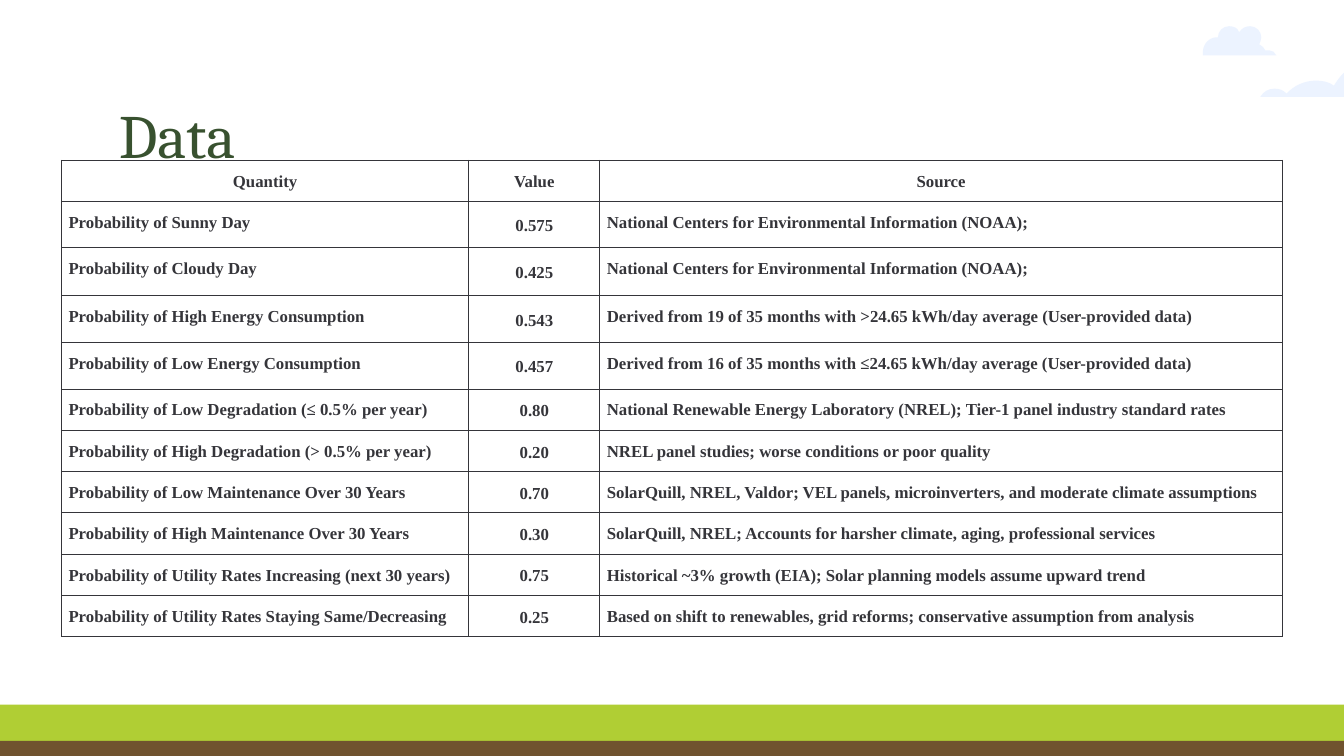
from dataclasses import dataclass

from lxml.etree import SubElement
from pptx import Presentation
from pptx.dml.color import RGBColor
from pptx.enum.shapes import MSO_SHAPE
from pptx.enum.text import MSO_ANCHOR, PP_ALIGN
from pptx.oxml.ns import qn
from pptx.util import Inches, Pt


@dataclass(frozen=True)
class Theme:
    grass: str = "B0CE34"
    soil: str = "70532F"
    cloud: str = "D9E8FF"
    title: str = "38512F"
    ink: str = "35353A"
    title_font: str = "Cambria"
    table_font: str = "Times New Roman"
    title_size: int = 44
    table_size: int = 12
    border_width: float = 0.75
    cloud_opacity: int = 49


THEME = Theme()
SLIDE_WIDTH, SLIDE_HEIGHT = 13.33, 7.5

TITLE = "Data"
TITLE_BOX = (1.05, 0.65, 11.23, 0.83)
HEADER = ("Quantity", "Value", "Source")
ROWS = [
    ("Probability of Sunny Day", "0.575",
     "National Centers for Environmental Information (NOAA);"),
    ("Probability of Cloudy Day", "0.425",
     "National Centers for Environmental Information (NOAA);"),
    ("Probability of High Energy Consumption", "0.543",
     "Derived from 19 of 35 months with >24.65 kWh/day average (User-provided data)"),
    ("Probability of Low Energy Consumption", "0.457",
     "Derived from 16 of 35 months with ≤24.65 kWh/day average (User-provided data)"),
    ("Probability of Low Degradation (≤ 0.5% per year)", "0.80",
     "National Renewable Energy Laboratory (NREL); Tier-1 panel industry standard rates"),
    ("Probability of High Degradation (> 0.5% per year)", "0.20",
     "NREL panel studies; worse conditions or poor quality"),
    ("Probability of Low Maintenance Over 30 Years", "0.70",
     "SolarQuill, NREL, Valdor; VEL panels, microinverters, and moderate climate assumptions"),
    ("Probability of High Maintenance Over 30 Years", "0.30",
     "SolarQuill, NREL; Accounts for harsher climate, aging, professional services"),
    ("Probability of Utility Rates Increasing (next 30 years)", "0.75",
     "Historical ~3% growth (EIA); Solar planning models assume upward trend"),
    ("Probability of Utility Rates Staying Same/Decreasing", "0.25",
     "Based on shift to renewables, grid reforms; conservative assumption from analysis"),
]
TABLE_LEFT, TABLE_TOP = 0.61, 1.59
COLUMN_WIDTHS = (4.04, 1.3, 6.77)
ROW_HEIGHTS = [0.41] + [0.46, 0.47, 0.47, 0.46] + [0.41] * 6
CELL_MARGIN_X, CELL_MARGIN_Y = 0.07, 0.09

BLEED = 0.05
GROUND_BANDS = [(6.99, THEME.grass), (7.35, THEME.soil)]

# Each outline is a start point, then curves (two controls and an end) or line ends.
CLOUDS = [
    [(13.54, 0.62), (13.43, 0.62, 13.32, 0.7, 13.23, 0.85),
     (13.18, 0.81, 13.11, 0.8, 13.05, 0.8), (12.94, 0.8, 12.83, 0.85, 12.76, 0.93),
     (12.73, 0.89, 12.68, 0.88, 12.64, 0.88), (12.58, 0.88, 12.53, 0.91, 12.5, 0.96),
     (14.09, 0.96), (14.06, 0.91, 14.01, 0.88, 13.95, 0.88),
     (13.92, 0.88, 13.9, 0.88, 13.88, 0.89), (13.79, 0.72, 13.67, 0.62, 13.54, 0.62)],
    [(12.19, 0.26), (12.13, 0.26, 12.08, 0.31, 12.08, 0.37), (12.07, 0.37),
     (11.99, 0.37, 11.93, 0.44, 11.93, 0.52), (11.93, 0.53, 11.93, 0.54, 11.93, 0.55),
     (12.66, 0.55), (12.65, 0.52, 12.62, 0.5, 12.59, 0.5),
     (12.58, 0.5, 12.57, 0.5, 12.55, 0.5), (12.54, 0.48, 12.52, 0.45, 12.49, 0.44),
     (12.5, 0.42, 12.51, 0.39, 12.51, 0.37), (12.51, 0.31, 12.46, 0.26, 12.4, 0.26),
     (12.35, 0.26, 12.32, 0.28, 12.29, 0.32), (12.28, 0.28, 12.24, 0.26, 12.19, 0.26)],
]


def paint(shape, color):
    shape.shadow.inherit = False
    shape.fill.solid()
    shape.fill.fore_color.rgb = RGBColor.from_string(color)
    shape.line.fill.background()


def add_ground(slide):
    for top, color in GROUND_BANDS:
        box = (-BLEED, top, SLIDE_WIDTH + 2 * BLEED, SLIDE_HEIGHT + BLEED - top)
        paint(slide.shapes.add_shape(MSO_SHAPE.RECTANGLE, *map(Inches, box)), color)


def bend(shape, segments):
    """Turn the straight sides that stand for curves into Bezier curves."""
    sides = list(shape._element.iter(qn("a:lnTo")))
    for side, segment in zip(sides, segments):
        if len(segment) == 2:
            continue
        side.tag = qn("a:cubicBezTo")
        side.remove(side[0])
        for x, y in zip(segment[::2], segment[1::2]):
            SubElement(side, qn("a:pt"), x=str(Inches(x) - shape.left),
                       y=str(Inches(y) - shape.top))


def add_cloud(slide, outline):
    start, *segments = outline
    builder = slide.shapes.build_freeform(*map(Inches, start))
    builder.add_line_segments([tuple(map(Inches, segment[-2:])) for segment in segments],
                              close=True)
    cloud = builder.convert_to_shape()
    bend(cloud, segments)
    paint(cloud, THEME.cloud)
    color = next(cloud._element.spPr.find(qn("a:solidFill")).iter(qn("a:srgbClr")))
    SubElement(color, qn("a:alpha"), val=str(THEME.cloud_opacity * 1000))


def write(frame, text, font_name, size, color, spacing):
    frame.text = text
    paragraph = frame.paragraphs[0]
    paragraph.line_spacing = spacing
    font = paragraph.runs[0].font
    font.name, font.size = font_name, Pt(size)
    font.color.rgb = RGBColor.from_string(color)
    return paragraph


def add_title(slide):
    frame = slide.shapes.add_textbox(*map(Inches, TITLE_BOX)).text_frame
    frame.word_wrap = True
    frame.margin_left = frame.margin_right = Inches(0.13)
    frame.margin_top = frame.margin_bottom = Inches(0.13)
    write(frame, TITLE, THEME.title_font, THEME.title_size, THEME.title, 1.25)


def add_borders(cell):
    properties = cell._tc.get_or_add_tcPr()
    for side in ("lnL", "lnR", "lnT", "lnB"):
        line = SubElement(properties, qn(f"a:{side}"), w=str(Pt(THEME.border_width)))
        fill = SubElement(line, qn("a:solidFill"))
        SubElement(fill, qn("a:srgbClr"), val=THEME.ink)


def add_data_table(slide):
    box = (TABLE_LEFT, TABLE_TOP, sum(COLUMN_WIDTHS), sum(ROW_HEIGHTS))
    table = slide.shapes.add_table(len(ROW_HEIGHTS), len(COLUMN_WIDTHS),
                                   *map(Inches, box)).table
    table.first_row = table.horz_banding = False
    for column, width in zip(table.columns, COLUMN_WIDTHS):
        column.width = Inches(width)
    for row, height in zip(table.rows, ROW_HEIGHTS):
        row.height = Inches(height)
    for row_index, values in enumerate([HEADER, *ROWS]):
        for column_index, value in enumerate(values):
            cell = table.cell(row_index, column_index)
            is_value = HEADER[column_index] == "Value"
            add_borders(cell)
            cell.fill.background()
            cell.margin_left = cell.margin_right = Inches(CELL_MARGIN_X)
            cell.margin_top = cell.margin_bottom = Inches(CELL_MARGIN_Y)
            cell.vertical_anchor = MSO_ANCHOR.MIDDLE if is_value else MSO_ANCHOR.TOP
            paragraph = write(cell.text_frame, value, THEME.table_font,
                              THEME.table_size, THEME.ink, 1.15)
            paragraph.runs[0].font.bold = True
            centered = is_value or row_index == 0
            paragraph.alignment = PP_ALIGN.CENTER if centered else PP_ALIGN.LEFT


def main():
    presentation = Presentation()
    presentation.slide_width = Inches(SLIDE_WIDTH)
    presentation.slide_height = Inches(SLIDE_HEIGHT)
    slide = presentation.slides.add_slide(presentation.slide_layouts[6])
    add_ground(slide)
    for outline in CLOUDS:
        add_cloud(slide, outline)
    add_title(slide)
    add_data_table(slide)
    presentation.save("out.pptx")


if __name__ == "__main__":
    main()
